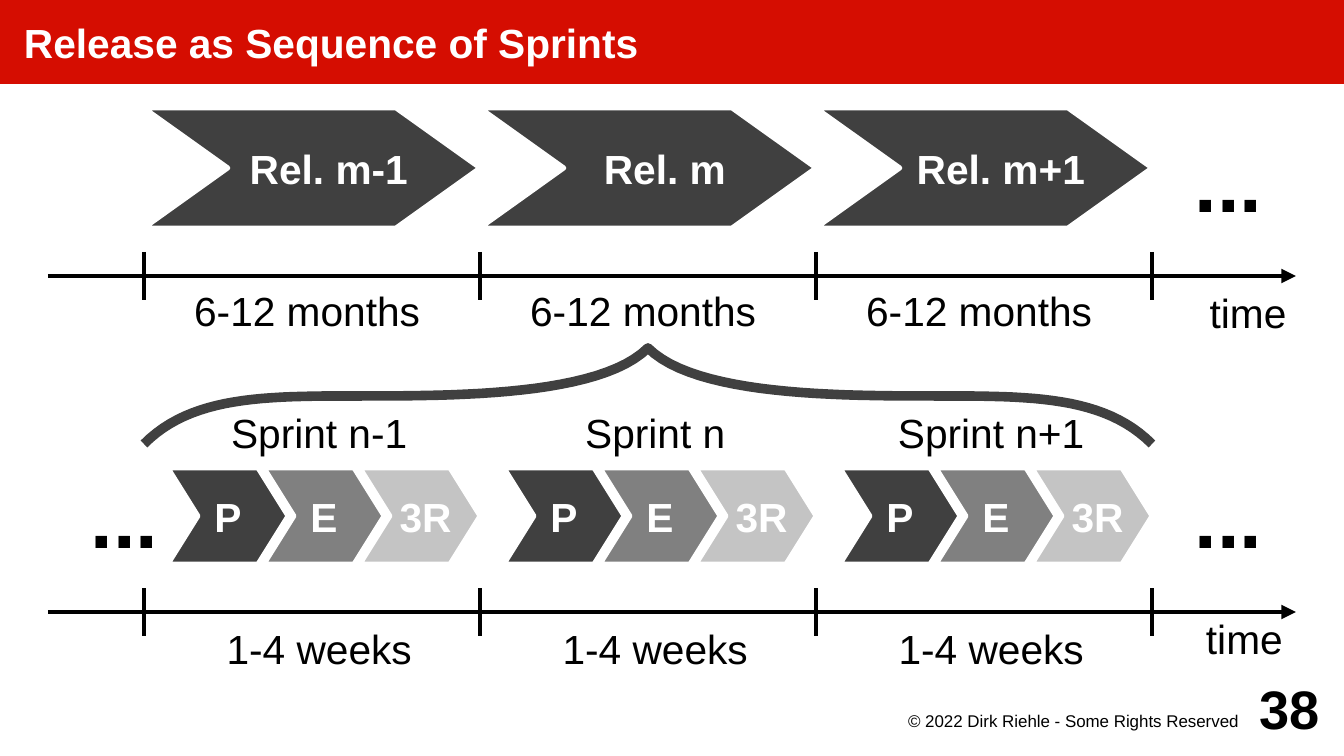
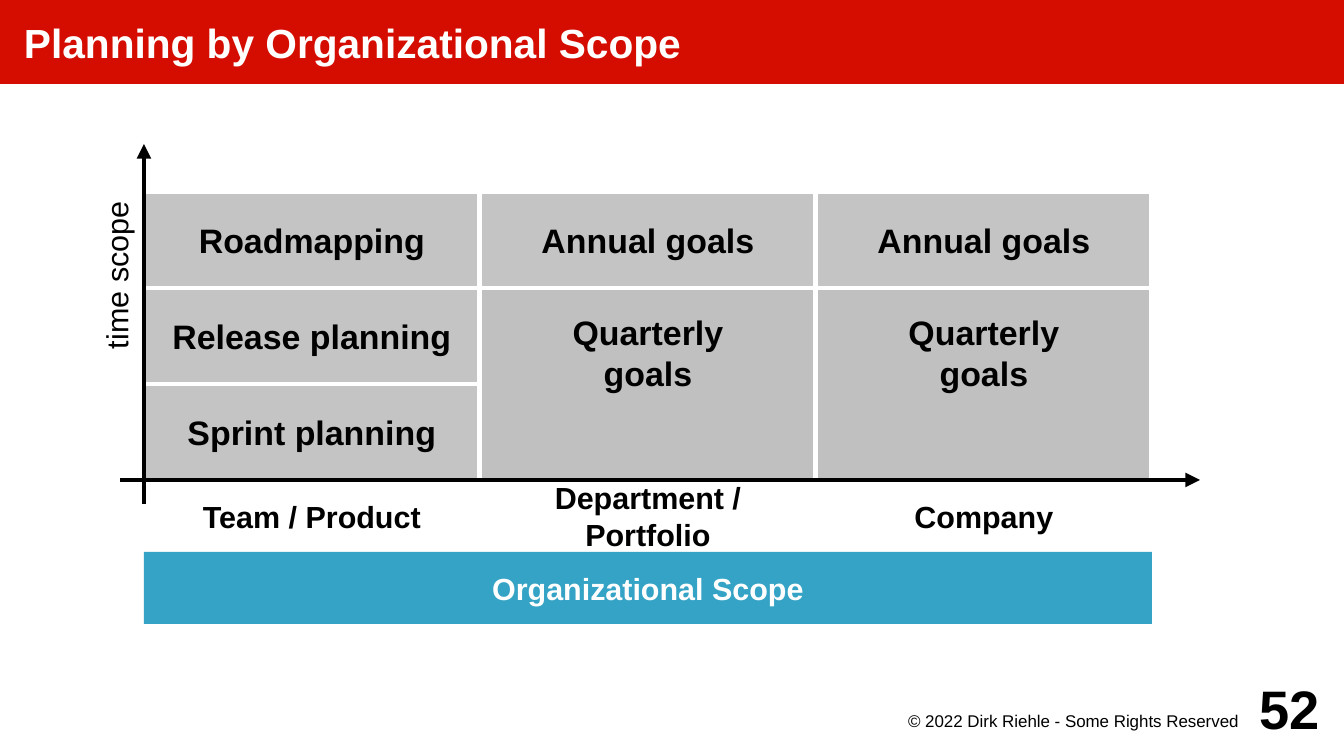
from dataclasses import dataclass, replace
from typing import Optional

import lxml.etree
import pptx
import pptx.dml.color
import pptx.enum.shapes
import pptx.enum.text
import pptx.oxml.ns
import pptx.shapes.autoshape
import pptx.shapes.base
import pptx.slide
import pptx.util

Pt = pptx.util.Pt
RGBColor = pptx.dml.color.RGBColor
Align = pptx.enum.text.PP_ALIGN
Anchor = pptx.enum.text.MSO_ANCHOR
Preset = pptx.enum.shapes.MSO_SHAPE

# Colours and measures
RED = RGBColor(0xD5, 0x0D, 0x01)
BLUE = RGBColor(0x34, 0xA3, 0xC5)
BLACK = RGBColor(0x00, 0x00, 0x00)
WHITE = RGBColor(0xFF, 0xFF, 0xFF)
DARK = RGBColor(0x40, 0x40, 0x40)
MIDDLE = RGBColor(0x80, 0x80, 0x80)
LIGHT = RGBColor(0xC4, 0xC4, 0xC4)
SILVER = RGBColor(0xC0, 0xC0, 0xC0)
FONT = "Arial"
GRID = 14.17  # points per grid step
PAD = 5.67
SLIDE_COLUMNS, SLIDE_ROWS = 56, 31.5
FIRST, PERIOD, PERIODS = 6, 14, 3  # three equal columns on both slides
COLUMNS = [FIRST + PERIOD * i for i in range(PERIODS)]
AXIS_WIDTH, EDGE_WIDTH, BRACE_WIDTH = 2.89, 2.83, 5.67
COPYRIGHT = "© 2022 Dirk Riehle - Some Rights Reserved"


@dataclass(frozen=True)
class Box:
    """Place and size in grid steps."""
    left: float
    top: float
    width: float
    height: float


@dataclass(frozen=True)
class Style:
    """Text style; insets (left, top, right, bottom) in points."""
    size: float
    bold: bool = False
    color: RGBColor = BLACK
    align: Align = Align.CENTER
    anchor: Anchor = Anchor.MIDDLE
    insets: tuple[float, float, float, float] = (PAD, PAD, PAD, PAD)


@dataclass(frozen=True)
class Phase:
    label: str
    fill: RGBColor
    shift: float = 0


@dataclass(frozen=True)
class Timeline:
    axis: float
    span: str
    span_box: Box
    span_style: Style
    time_box: Box


@dataclass(frozen=True)
class Cell:
    label: str
    column: int
    top: float
    height: float = 4


TITLE = Style(24, True, WHITE, Align.LEFT, insets=(GRID, 0, 0, 0))
FOOTER = Style(10, align=Align.RIGHT, anchor=Anchor.TOP, insets=(0, 1.4, PAD, 0))
NUMBER = Style(32, True, align=Align.RIGHT, insets=(0, 0, 0, 0))
LABEL = Style(24, insets=(0, PAD, PAD, PAD))
TIME = Style(24, align=Align.RIGHT)
ELLIPSIS = Style(48, True, insets=(PAD, PAD, 0, PAD))
CHEVRON = Style(24, True, WHITE, insets=(0, 0, 0, 0))
GOAL = Style(20, True)
TALL_GOAL = replace(GOAL, anchor=Anchor.TOP, insets=(PAD, GRID, PAD, PAD))
SCOPE = Style(18, True)
TIME_SCOPE = Style(18, align=Align.RIGHT, anchor=Anchor.BOTTOM)

RELEASES = ["Rel. m-1", "Rel. m", "Rel. m+1"]
SPRINTS = ["Sprint n-1", "Sprint n", "Sprint n+1"]
PHASES = [Phase("P", DARK), Phase("E", MIDDLE), Phase("3R", LIGHT, 6.67)]
TIMELINES = [
    Timeline(25.5, "1-4 weeks", Box(1, 0, 13, 3), LABEL, Box(49, 25.25, 4.85, 2.7)),
    Timeline(11.5, "6-12 months", Box(0, 0, 14, 3),
             replace(LABEL, anchor=Anchor.TOP), Box(49, 11.5, 5, 3)),
]
ELLIPSES = [(49, 4.5), (3, 18.5), (49, 18.5)]
CELLS = [
    Cell("Quarterly\ngoals", 1, 12, 8),
    Cell("Quarterly\ngoals", 2, 12, 8),
    Cell("Sprint planning", 0, 16),
    Cell("Release planning", 0, 12),
    Cell("Roadmapping", 0, 8),
    Cell("Annual goals", 1, 8),
    Cell("Annual goals", 2, 8),
]
SCOPES = ["Team / Product", "Department / Portfolio", "Company"]


def steps(count: float) -> pptx.util.Length:
    return Pt(GRID * count)


def frame(box: Box) -> list[pptx.util.Length]:
    return [steps(n) for n in (box.left, box.top, box.width, box.height)]


# Drawing helpers
def write(shape: pptx.shapes.autoshape.Shape, text: str, style: Style) -> None:
    body = shape.text_frame
    body.text = text
    body.word_wrap = style.align != Align.CENTER
    body.vertical_anchor = style.anchor
    (body.margin_left, body.margin_top,
     body.margin_right, body.margin_bottom) = map(Pt, style.insets)
    for paragraph in body.paragraphs:
        paragraph.alignment = style.align
        for run in paragraph.runs:
            run.font.name = FONT
            run.font.size = Pt(style.size)
            run.font.bold = style.bold
            run.font.color.rgb = style.color


def add_label(slide: pptx.slide.Slide, box: Box, text: str, style: Style,
              rotation: float = 0) -> None:
    label = slide.shapes.add_textbox(*frame(box))
    label.rotation = rotation
    write(label, text, style)


def add_block(slide: pptx.slide.Slide, box: Box, text: str, style: Style,
              fill: RGBColor, edge: Optional[RGBColor] = None,
              preset: Preset = Preset.RECTANGLE) -> pptx.shapes.autoshape.Shape:
    block = slide.shapes.add_shape(preset, *frame(box))
    block.shadow.inherit = False
    block.fill.solid()
    block.fill.fore_color.rgb = fill
    if edge is None:
        block.line.fill.background()
    else:
        block.line.color.rgb = edge
        block.line.width = Pt(EDGE_WIDTH)
    write(block, text, style)
    return block


def add_chevron(slide: pptx.slide.Slide, box: Box, text: str, fill: RGBColor,
                shift: float = 0) -> None:
    style = replace(CHEVRON, insets=(shift, 0, 0, 0))
    chevron = add_block(slide, box, text, style, fill, WHITE, Preset.CHEVRON)
    chevron.adjustments[0] = box.width / 4 / box.height  # notch: a quarter of the width


def add_line(slide: pptx.slide.Slide, start: tuple[float, float],
             end: tuple[float, float], arrow: bool = False) -> None:
    line = slide.shapes.add_connector(
        pptx.enum.shapes.MSO_CONNECTOR.STRAIGHT, *map(steps, start + end))
    line.line.color.rgb = BLACK
    line.line.width = Pt(AXIS_WIDTH if arrow else EDGE_WIDTH)
    qn = pptx.oxml.ns.qn
    properties = line._element.spPr
    if arrow:
        lxml.etree.SubElement(properties.find(qn("a:ln")), qn("a:tailEnd"), type="triangle")
    lxml.etree.SubElement(properties, qn("a:effectLst"))


def add_brace(slide: pptx.slide.Slide) -> None:
    """Two Bezier curves rise to the tip; the right half mirrors them."""
    curves = [((6, 18.5), (8, 16.5), (11, 16.5), (15, 16.5)),
              ((15, 16.5), (19, 16.5), (25, 16.5), (27, 14.5))]
    segments, tip = 24, 27
    half = [curves[0][0]]
    for curve in curves:
        for i in range(1, segments + 1):
            t = i / segments
            weights = ((1 - t) ** 3, 3 * t * (1 - t) ** 2, 3 * t * t * (1 - t), t ** 3)
            half.append(tuple(sum(w * point[axis] for w, point in zip(weights, curve))
                              for axis in (0, 1)))
    points = half + [(2 * tip - x, y) for x, y in reversed(half[:-1])]
    outline = [(steps(x), steps(y)) for x, y in points]
    builder = slide.shapes.build_freeform(*outline[0])
    builder.add_line_segments(outline[1:], close=False)
    brace = builder.convert_to_shape()
    brace.shadow.inherit = False
    brace.fill.background()
    brace.line.color.rgb = DARK
    brace.line.width = Pt(BRACE_WIDTH)


# Shared slide parts
def add_slide(deck: pptx.presentation.Presentation, title: str,
              number: int) -> pptx.slide.Slide:
    slide = deck.slides.add_slide(deck.slide_layouts[6])
    add_block(slide, Box(0, 0, SLIDE_COLUMNS, 3.5), title, TITLE, RED)
    add_label(slide, Box(36, 29.5, 16, 1.5), COPYRIGHT, FOOTER)
    add_label(slide, Box(51, 28, 4, 3), str(number), NUMBER)
    return slide


def add_timeline(slide: pptx.slide.Slide, timeline: Timeline) -> None:
    axis, span = timeline.axis, timeline.span_box
    add_line(slide, (2, axis), (54, axis), arrow=True)
    for tick in COLUMNS + [FIRST + PERIOD * PERIODS]:
        add_line(slide, (tick, axis - 1), (tick, axis + 1))
    for column in COLUMNS:
        box = replace(span, left=column + span.left, top=axis + span.top)
        add_label(slide, box, timeline.span, timeline.span_style)
    add_label(slide, timeline.time_box, "time", TIME)


def build_releases(deck: pptx.presentation.Presentation) -> None:
    slide = add_slide(deck, "Release as Sequence of Sprints", 38)
    # Releases, and the sprints inside one of them
    for column, release, sprint in zip(COLUMNS, RELEASES, SPRINTS):
        add_chevron(slide, Box(column, 4.5, PERIOD, 5), release, DARK, shift=20)
        add_label(slide, Box(column + 1, 16.5, 13, 3), sprint, LABEL)
        for i, phase in enumerate(PHASES):
            box = Box(column + 1 + 4 * i, 19.5, 5, 4)
            add_chevron(slide, box, phase.label, phase.fill, phase.shift)
    for left, top in ELLIPSES:
        add_label(slide, Box(left, top, 4, 6), "...", ELLIPSIS)
    for timeline in TIMELINES:
        add_timeline(slide, timeline)
    add_brace(slide)


def build_scopes(deck: pptx.presentation.Presentation) -> None:
    slide = add_slide(deck, "Planning by Organizational Scope", 52)
    # Planning cells
    for cell in CELLS:
        tall = cell.height > 4
        box = Box(COLUMNS[cell.column], cell.top, PERIOD, cell.height)
        add_block(slide, box, cell.label, TALL_GOAL if tall else GOAL,
                  SILVER if tall else LIGHT, WHITE)
    # Axes and their labels
    add_line(slide, (FIRST, 21), (FIRST, 6), arrow=True)
    add_line(slide, (5, 20), (50, 20), arrow=True)
    add_label(slide, Box(1, 11, 8, 2), "time scope", TIME_SCOPE, rotation=270)
    for column, scope in zip(COLUMNS, SCOPES):
        add_label(slide, Box(column, 20, PERIOD, 3), scope, SCOPE)
    add_block(slide, Box(FIRST, 23, PERIOD * PERIODS, 3), "Organizational Scope",
              replace(SCOPE, color=WHITE), BLUE)


def main() -> None:
    deck = pptx.Presentation()
    deck.slide_width = steps(SLIDE_COLUMNS)
    deck.slide_height = steps(SLIDE_ROWS)
    build_releases(deck)
    build_scopes(deck)
    deck.save("out.pptx")


if __name__ == "__main__":
    main()
